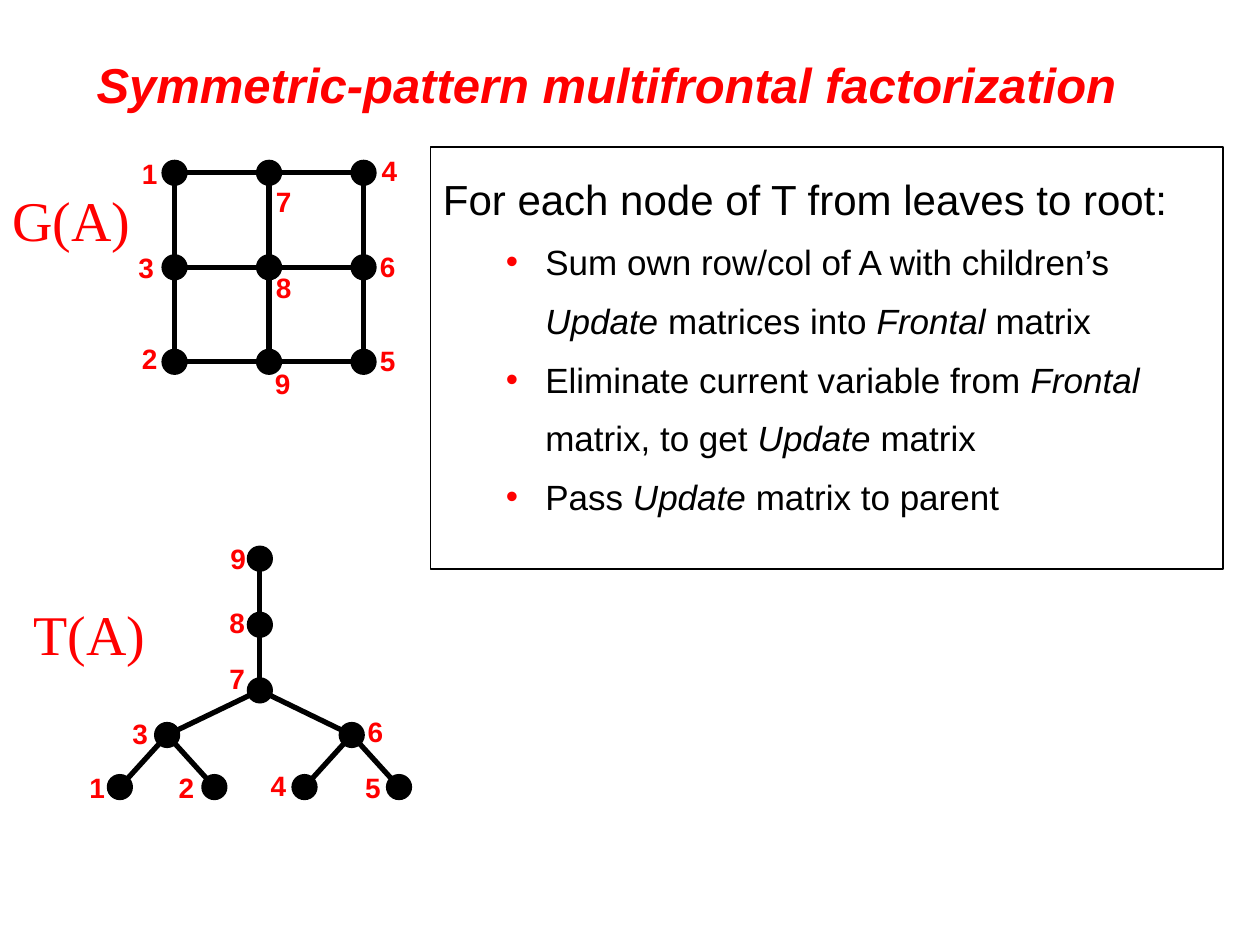
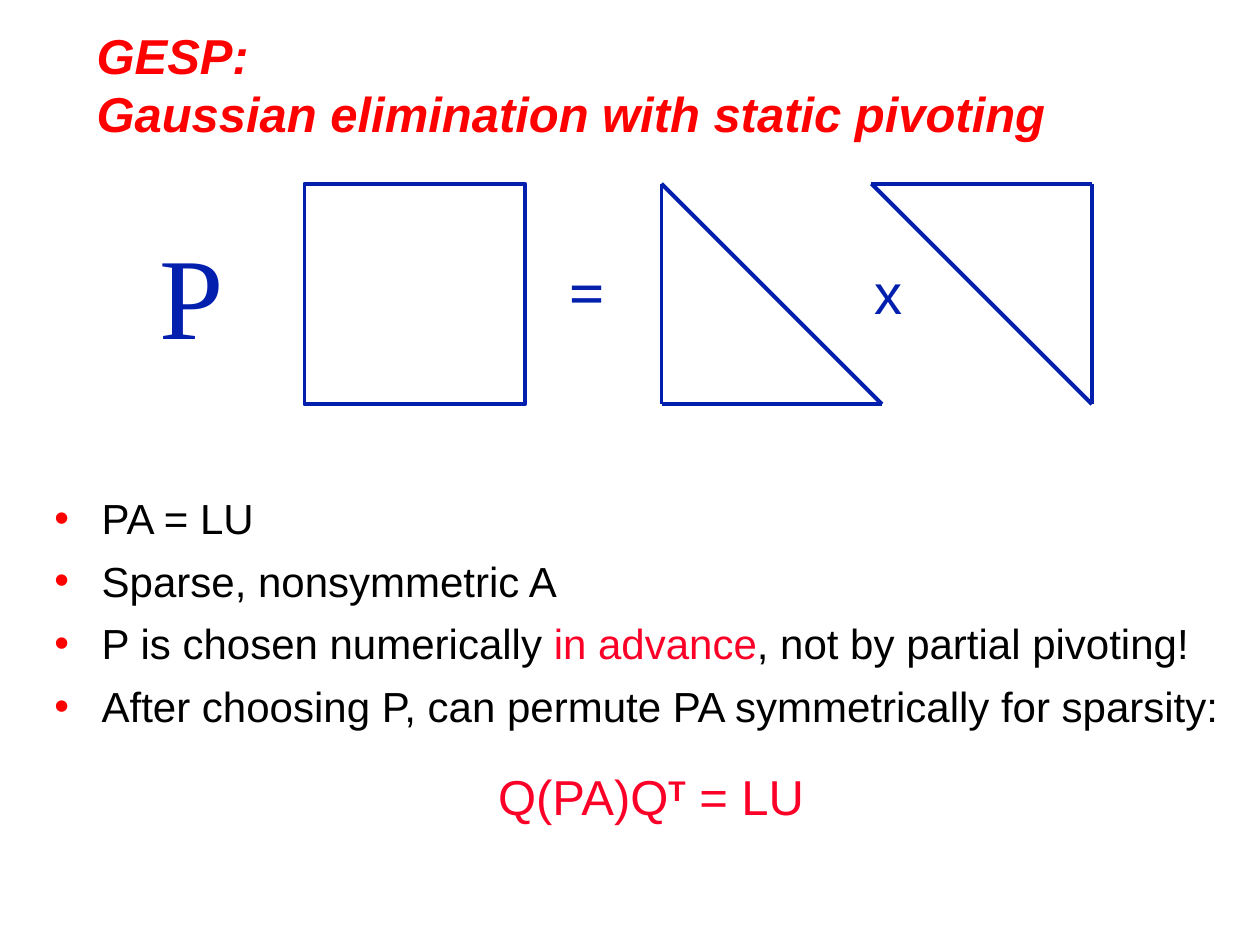
from itertools import pairwise

from lxml.etree import SubElement
from pptx import Presentation
from pptx.dml.color import RGBColor
from pptx.enum.shapes import MSO_CONNECTOR, MSO_SHAPE
from pptx.enum.text import MSO_ANCHOR, MSO_AUTO_SIZE, PP_ALIGN
from pptx.oxml.ns import qn
from pptx.util import Pt

RED, CRIMSON, BLUE, BLACK = "FF0000", "FC0128", "021FAE", "000000"
SANS, SERIF = "Arial", "Times New Roman"
ITALIC = {"italic": True}


def rgb(value):
    return RGBColor.from_string(value)


class Deck:
    dot = 15

    def __init__(self):
        self.prs = Presentation()
        self.prs.slide_width, self.prs.slide_height = Pt(720), Pt(540)
        self.s = None

    def run(self, p, text, size, color=BLACK, font=SANS, bold=False,
            italic=False, raised=False):
        r = p.add_run()
        r.text = text
        f = r.font
        f.name, f.size, f.bold, f.italic = font, Pt(size), bold, italic
        f.color.rgb = rgb(color)
        if raised:
            r._r.get_or_add_rPr().set("baseline", "30000")

    def slide(self, lines, top, width, height):
        """Start a slide whose title has the given lines."""
        self.s = self.prs.slides.add_slide(self.prs.slide_layouts[5])
        sp = self.s.shapes.title
        sp.left, sp.top, sp.width, sp.height = Pt(48), Pt(top), Pt(width), Pt(height)
        tf = sp.text_frame
        tf.auto_size, tf.word_wrap = MSO_AUTO_SIZE.NONE, True
        tf.vertical_anchor = MSO_ANCHOR.MIDDLE
        p = tf.paragraphs[0]
        p.alignment = PP_ALIGN.LEFT
        for i, line in enumerate(lines):
            if i:
                p.add_line_break()
            self.run(p, line, 28, RED, bold=True, italic=True)

    def label(self, text, left, top, width, height, size, color=RED, **style):
        """Add a one-line text that does not wrap."""
        sp = self.s.shapes.add_textbox(Pt(left), Pt(top), Pt(width), Pt(height))
        tf = sp.text_frame
        tf.word_wrap, tf.auto_size = False, MSO_AUTO_SIZE.SHAPE_TO_FIT_TEXT
        self.run(tf.paragraphs[0], text, size, color, **style)

    def body(self, left, top, width, height, border=None):
        sp = self.s.shapes.add_textbox(Pt(left), Pt(top), Pt(width), Pt(height))
        sp.text_frame.word_wrap = True
        if border:
            sp.line.color.rgb, sp.line.width = rgb(border), Pt(1)
        return sp.text_frame

    def paragraph(self, tf, runs, size, bullet=None, spacing=None, before=0,
                  align=PP_ALIGN.LEFT, color=BLACK):
        """Add runs of (text, style); bullet is (left margin, hanging indent)."""
        first = not tf.paragraphs[0].runs
        p = tf.paragraphs[0] if first else tf.add_paragraph()
        p.alignment = align
        if spacing:
            p.line_spacing = spacing
        if before and not first:
            p.space_before = Pt(before)
        if bullet:
            margin, hang = bullet
            pPr = p._p.get_or_add_pPr()
            pPr.set("marL", str(Pt(margin)))
            pPr.set("indent", str(-Pt(hang)))
            SubElement(SubElement(pPr, qn("a:buClr")), qn("a:srgbClr")).set("val", RED)
            SubElement(pPr, qn("a:buFont")).set("typeface", SANS)
            SubElement(pPr, qn("a:buChar")).set("char", "•")
        for text, style in runs:
            self.run(p, text, size, **{"color": color, **style})

    def line(self, start, end, color=BLACK, width=3):
        cn = self.s.shapes.add_connector(
            MSO_CONNECTOR.STRAIGHT, *(Pt(v) for v in (*start, *end)))
        cn.line.color.rgb, cn.line.width = rgb(color), Pt(width)
        SubElement(cn._element.spPr, qn("a:effectLst"))

    def polygon(self, *corners):
        """Outline a closed figure with separate lines."""
        for start, end in pairwise(corners + corners[:1]):
            self.line(start, end, BLUE, 2.25)

    def node(self, x, y):
        sp = self.s.shapes.add_shape(
            MSO_SHAPE.OVAL, Pt(x - self.dot / 2), Pt(y - self.dot / 2),
            Pt(self.dot), Pt(self.dot))
        sp.shadow.inherit = False
        sp.fill.solid()
        sp.fill.fore_color.rgb = rgb(BLACK)
        sp.line.fill.background()

    def square(self, left, top, side):
        sp = self.s.shapes.add_shape(
            MSO_SHAPE.RECTANGLE, Pt(left), Pt(top), Pt(side), Pt(side))
        sp.shadow.inherit = False
        sp.fill.background()
        sp.line.color.rgb, sp.line.width = rgb(BLUE), Pt(2.25)

    def graph(self, nodes, edges, labels):
        """Draw numbered nodes; each label has its own left and top."""
        for a, b in edges:
            self.line(nodes[a], nodes[b])
        for x, y in nodes.values():
            self.node(x, y)
        for number, (left, top) in labels.items():
            self.label(str(number), left, top, 23, 26.5, 16, bold=True)


def multifrontal_slide(d):
    d.slide(["Symmetric-pattern multifrontal factorization"], 24, 630, 48)

    rows = [(1, 7, 4), (3, 8, 6), (2, 9, 5)]
    grid = {n: (99.75 + 54 * col, 98.75 + 54 * row)
            for row, numbers in enumerate(rows) for col, n in enumerate(numbers)}
    grid_edges = [(line[0], line[2]) for line in rows + list(zip(*rows))]
    d.graph(grid, grid_edges, {
        1: (74, 86), 2: (74, 191.5), 3: (72, 139.5),
        4: (211, 84), 5: (210, 193), 6: (210, 139),
        7: (150.5, 102), 8: (150.5, 151), 9: (150, 206)})
    d.label("G(A)", 0, 102.5, 90, 46, 32, font=SERIF)

    leaves, middle = 449.75, 420
    tree = {9: (148.5, 319.25), 8: (148.5, 357), 7: (148.5, 394.5),
            3: (95.5, middle), 6: (201, middle),
            1: (68.5, leaves), 2: (122.5, leaves),
            4: (174, leaves), 5: (228, leaves)}
    tree_edges = [(9, 8), (8, 7), (7, 3), (7, 6), (3, 1), (3, 2), (6, 4), (6, 5)]
    d.graph(tree, tree_edges, {
        9: (124.5, 306), 8: (124, 342.5), 7: (124, 374.5),
        3: (68.5, 406), 6: (203, 404.5),
        1: (44, 436.5), 2: (95, 436.5), 4: (147.5, 435.5), 5: (201.5, 437)})
    d.label("T(A)", 12, 339, 86.5, 46, 32, font=SERIF)

    tf = d.body(246, 84, 453, 241, border=BLACK)
    d.paragraph(tf, [("For each node of T from leaves to root:", {})], 24, spacing=1.4)
    steps = [
        [("Sum own row/col of A with children’s ", {}), ("Update", ITALIC),
         (" matrices into ", {}), ("Frontal ", ITALIC), ("matrix", {})],
        [("Eliminate current variable from ", {}), ("Frontal", ITALIC),
         (" matrix, to get ", {}), ("Update", ITALIC), (" matrix", {})],
        [("Pass ", {}), ("Update", ITALIC), (" matrix to parent", {})],
    ]
    for runs in steps:
        d.paragraph(tf, runs, 20, bullet=(58.5, 22.5), spacing=1.4)


def static_pivoting_slide(d):
    d.slide(["GESP:", "Gaussian elimination with static pivoting"], 12, 588, 72)

    top, side = 105, 126
    bottom = top + side
    lower, upper = 378, 498
    d.label("P", 84, 124.5, 51, 86.5, 66, BLUE, font=SERIF)
    d.square(174, top, side)
    d.label("=", 318, 141, 34.5, 50.5, 36, BLUE, font=SERIF, bold=True)
    d.polygon((lower, top), (lower, bottom), (lower + side, bottom))
    d.label("x", 492.5, 144, 30.5, 46, 32, BLUE)
    d.polygon((upper, top), (upper + side, top), (upper + side, bottom))

    tf = d.body(24, 278, 696, 202)
    points = [
        [("PA = LU", {})],
        [("Sparse, nonsymmetric A", {})],
        [("P is chosen numerically ", {}), ("in advance", {"color": CRIMSON}),
         (", not by partial pivoting!", {})],
        [("After choosing P, can permute PA symmetrically for sparsity:", {})],
    ]
    for runs in points:
        d.paragraph(tf, runs, 24, bullet=(27, 27), before=7)
    formula = [("Q(PA)Q", {}), ("T", {"bold": True, "raised": True}), (" = LU", {})]
    d.paragraph(tf, formula, 28, spacing=1.4, before=7,
                align=PP_ALIGN.CENTER, color=CRIMSON)


def main():
    d = Deck()
    multifrontal_slide(d)
    static_pivoting_slide(d)
    d.prs.save("out.pptx")


if __name__ == "__main__":
    main()
